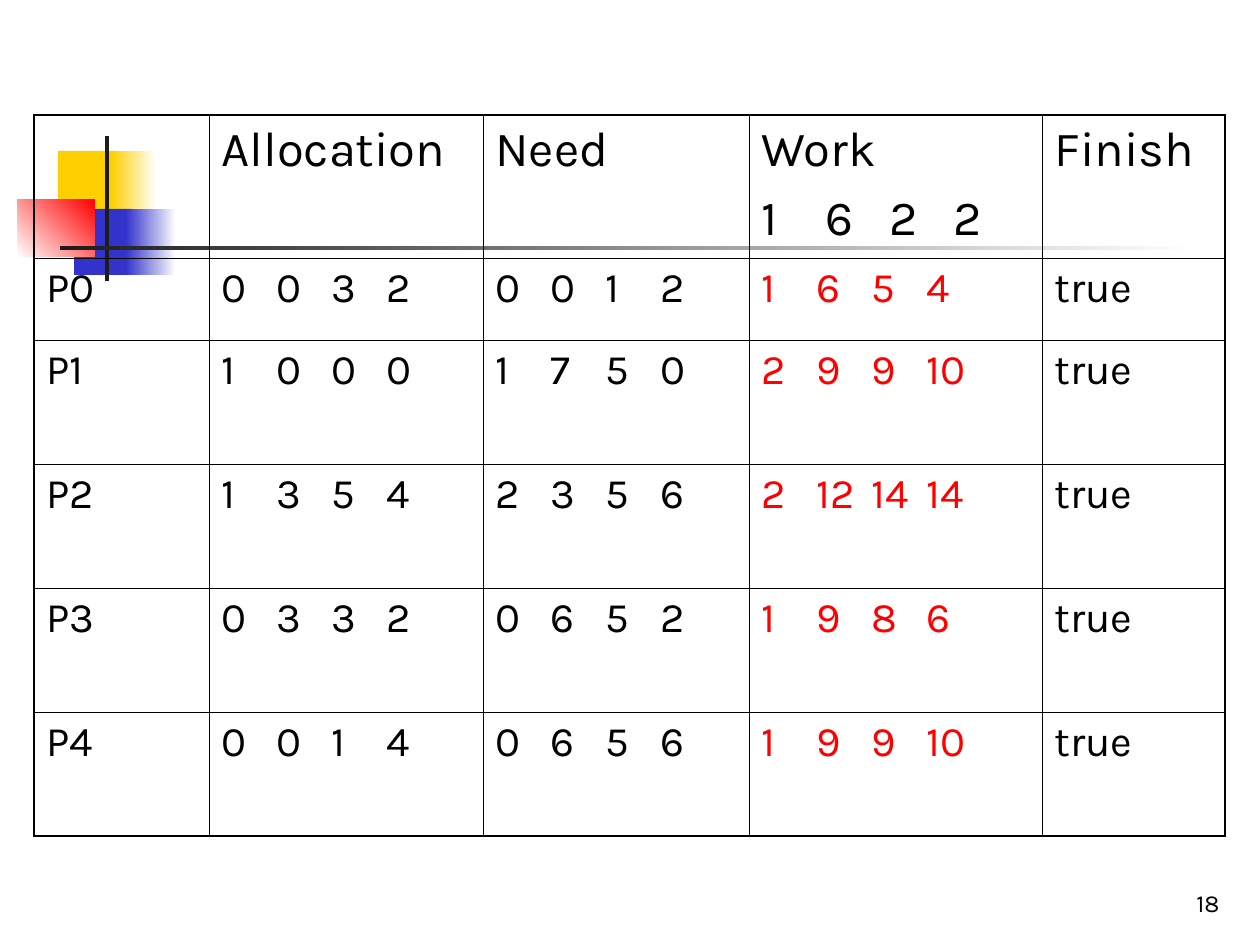
"""Build a slide with the steps of a safety check in one table."""
import dataclasses
import typing

import lxml.etree
import pptx
import pptx.dml.color
import pptx.enum.shapes
import pptx.enum.text
import pptx.oxml.ns
import pptx.util

RGB = pptx.dml.color.RGBColor
BLACK = RGB(0x00, 0x00, 0x00)
WHITE = RGB(0xFF, 0xFF, 0xFF)
RED = RGB(0xFF, 0x00, 0x00)
GOLD = RGB(0xFF, 0xCF, 0x01)
BLUE = RGB(0x33, 0x33, 0xCC)
INK = RGB(0x1C, 0x1C, 0x1C)

FONT = "Karla"
SCALE = 914400 / 126
THIN, THICK = 0.45, 1.08


@dataclasses.dataclass(frozen=True)
class Block:
    left: int
    top: int
    width: int
    height: int
    start: RGB
    end: typing.Optional[RGB] = None
    angle: int = 0


BLOCKS = [
    Block(58, 151, 60, 66, GOLD),
    Block(111, 151, 45, 66, GOLD, WHITE),
    Block(74, 209, 58, 66, BLUE),
    Block(126, 209, 50, 66, BLUE, WHITE),
    Block(18, 199, 77, 58, WHITE, RED, 45),
    Block(105, 136, 4, 145, INK),
    Block(60, 246, 1134, 4, INK, WHITE),
]

LEFT, TOP = 34, 115
WIDTHS = [175, 274, 266, 293, 183]
HEIGHTS = [143, 82] + [124] * 4
WORK = 3
ROWS = [
    ["", "Allocation", "Need", "Work\n1 6 2 2", "Finish"],
    ["P0", "0 0 3 2", "0 0 1 2", "1 6 5 4", "true"],
    ["P1", "1 0 0 0", "1 7 5 0", "2 9 9 10", "true"],
    ["P2", "1 3 5 4", "2 3 5 6", "2 12 14 14", "true"],
    ["P3", "0 3 3 2", "0 6 5 2", "1 9 8 6", "true"],
    ["P4", "0 0 1 4", "0 6 5 6", "1 9 9 10", "true"],
]


def px(count: int) -> pptx.util.Emu:
    """Turn px into EMU."""
    return pptx.util.Emu(round(count * SCALE))


def add(node: typing.Any, tag: str, **attrs: typing.Any) -> typing.Any:
    """Append a child node from the drawing namespace."""
    values = {key: str(value) for key, value in attrs.items()}
    return lxml.etree.SubElement(node, pptx.oxml.ns.qn(f"a:{tag}"), values)


def write(frame: typing.Any, text: str, *, size: int, color: RGB = BLACK,
          align: typing.Any = None, step: int = 0, gap: int = 0) -> None:
    """Write lines of text, with values set on even tab stops."""
    for index, line in enumerate(text.split("\n")):
        para = frame.paragraphs[0] if index == 0 else frame.add_paragraph()
        if " " in line:
            stops = add(para._p.get_or_add_pPr(), "tabLst")
            for place in range(1, len(line.split())):
                add(stops, "tab", pos=px(place * step), algn="l")
        para.alignment = align
        if index:
            para.space_before = pptx.util.Pt(gap)
        run = para.add_run()
        run.text = line.replace(" ", "\t")
        run.font.name = FONT
        run.font.size = pptx.util.Pt(size)
        run.font.color.rgb = color


def draw_block(slide: typing.Any, block: Block) -> None:
    """Draw one plain or fading block."""
    shape = slide.shapes.add_shape(
        pptx.enum.shapes.MSO_SHAPE.RECTANGLE, px(block.left), px(block.top),
        px(block.width), px(block.height))
    shape.shadow.inherit = False
    shape.line.fill.background()
    if block.end is None:
        shape.fill.solid()
        shape.fill.fore_color.rgb = block.start
        return
    shape.fill.gradient()
    shape.fill.gradient_angle = block.angle
    for stop, color in zip(shape.fill.gradient_stops, (block.start, block.end)):
        stop.color.rgb = color


def rule_cell(cell: typing.Any, edges: typing.Dict[str, bool]) -> None:
    """Rule the four sides of a cell, thick at the table's rim."""
    props = cell._tc.get_or_add_tcPr()
    for side, rim in edges.items():
        line = add(props, f"ln{side}", w=pptx.util.Pt(THICK if rim else THIN))
        add(add(line, "solidFill"), "srgbClr", val=BLACK)
    cell.fill.background()


def draw_table(slide: typing.Any) -> None:
    """Draw the table of processes."""
    table = slide.shapes.add_table(
        len(ROWS), len(WIDTHS), px(LEFT), px(TOP),
        px(sum(WIDTHS)), px(sum(HEIGHTS))).table
    table.first_row = table.horz_banding = False
    for column, width in zip(table.columns, WIDTHS):
        column.width = px(width)
    for row, height in zip(table.rows, HEIGHTS):
        row.height = px(height)
    for y, texts in enumerate(ROWS):
        head = y == 0
        for x, text in enumerate(texts):
            cell = table.cell(y, x)
            rule_cell(cell, {"L": x == 0, "R": x == len(WIDTHS) - 1,
                             "T": head, "B": y == len(ROWS) - 1})
            if text:
                write(cell.text_frame, text, size=28 if head else 24,
                      color=RED if x == WORK and not head else BLACK,
                      step=64 if head else 55, gap=7)


def draw_number(slide: typing.Any) -> None:
    """Draw the slide number."""
    frame = slide.shapes.add_textbox(px(970), px(861), px(262), px(63)).text_frame
    frame.word_wrap = True
    frame.vertical_anchor = pptx.enum.text.MSO_ANCHOR.BOTTOM
    write(frame, "18", size=14, align=pptx.enum.text.PP_ALIGN.RIGHT)


def main() -> None:
    """Build and save the slide."""
    deck = pptx.Presentation()
    deck.slide_width, deck.slide_height = px(1260), px(945)
    slide = deck.slides.add_slide(deck.slide_layouts[6])
    for block in BLOCKS:
        draw_block(slide, block)
    draw_number(slide)
    draw_table(slide)
    deck.save("out.pptx")


if __name__ == "__main__":
    main()
